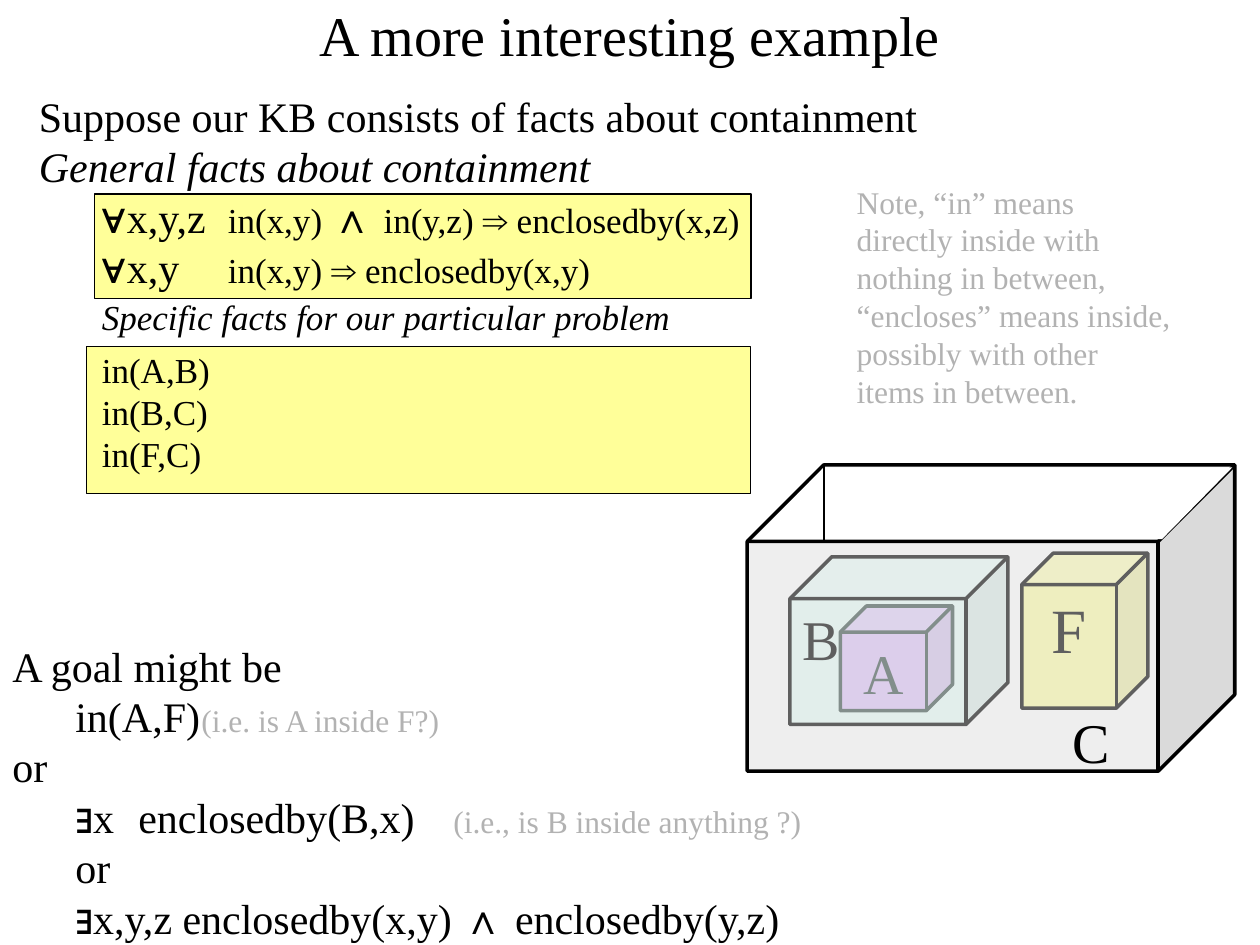
from itertools import groupby

from lxml import etree
from pptx import Presentation
from pptx import util as u
from pptx.dml.color import RGBColor
from pptx.enum import shapes, text
from pptx.oxml.ns import qn

BLACK, GRAY, YELLOW, WHITE = "000000", "B2B2B2", "FFFF99", "FFFFFF"
SYMBOLS = "∀∃∧⇒"
LEFT, CENTER = text.PP_ALIGN.LEFT, text.PP_ALIGN.CENTER
SHAPE = shapes.MSO_SHAPE


def paint(fmt, color, alpha=100):
    """Give a fill or font colour format a hex colour."""
    fmt.solid()
    fmt.fore_color.rgb = RGBColor.from_string(color)
    if alpha < 100:
        clr = fmt._xPr.find(qn("a:solidFill"))[0]
        etree.SubElement(clr, qn("a:alpha")).set("val", str(alpha * 1000))


def add_text(p, words, size=24, color=BLACK, italic=False):
    """Add words to a paragraph, with the logic symbols in Arial."""
    for symbol, chars in groupby(words, lambda c: c in SYMBOLS):
        r = p.add_run()
        r.text = "".join(chars)
        r.font.name = "Arial" if symbol else "Times New Roman"
        r.font.size = u.Pt(size)
        r.font.italic = italic
        paint(r.font.fill, color)


class Board:
    LEADING = 1.2
    INDENT = 36

    def __init__(self, s):
        self.s = s

    def para(self, tf, *runs, size=24, align=LEFT, indent=False, tabs=(),
             before=0, after=0, **fmt):
        """Add a paragraph; a run is a string or a (string, format) pair."""
        first = tf.paragraphs[0]
        p = tf.add_paragraph() if first.runs else first
        p.alignment = align
        p.line_spacing = u.Pt(size * self.LEADING)
        if before:
            p.space_before = u.Pt(before)
        if after:
            p.space_after = u.Pt(after)
        pPr = p._p.get_or_add_pPr()
        if indent:
            pPr.set("marL", str(u.Pt(self.INDENT)))
            pPr.set("indent", "0")
        if tabs:
            tab_list = etree.SubElement(pPr, qn("a:tabLst"))
            for pos in tabs:
                tab = etree.SubElement(tab_list, qn("a:tab"))
                tab.set("pos", str(u.Pt(pos)))
                tab.set("algn", "l")
        for item in runs:
            words, own = (item, {}) if isinstance(item, str) else item
            add_text(p, words, **{"size": size, **fmt, **own})

    def box(self, x, y, w, h, anchor=text.MSO_ANCHOR.TOP):
        sp = self.s.shapes.add_textbox(u.Pt(x), u.Pt(y), u.Pt(w), u.Pt(h))
        tf = sp.text_frame
        tf.word_wrap = True
        tf.vertical_anchor = anchor
        return tf

    def shape(self, kind, x, y, w, h, fill, alpha=100, line=None, adj=None):
        sp = self.s.shapes.add_shape(kind, u.Pt(x), u.Pt(y), u.Pt(w), u.Pt(h))
        sp.shadow.inherit = False
        paint(sp.fill, fill, alpha)
        if line:
            paint(sp.line.fill, BLACK)
            sp.line.width = u.Pt(line)
        else:
            sp.line.fill.background()
        if adj is not None:
            sp.adjustments[0] = adj
        return sp.text_frame

    def cube(self, x, y, w, h, fill, alpha=33, label="", size=32, align=CENTER):
        tf = self.shape(SHAPE.CUBE, x, y, w, h, fill, alpha, line=2, adj=0.25)
        tf.vertical_anchor = text.MSO_ANCHOR.TOP
        tf.word_wrap = True
        if label:
            self.para(tf, label, size=size, align=align)

    def line(self, x1, y1, x2, y2, width=0.75):
        cn = self.s.shapes.add_connector(
            shapes.MSO_CONNECTOR.STRAIGHT, u.Pt(x1), u.Pt(y1), u.Pt(x2), u.Pt(y2))
        paint(cn.line.fill, BLACK)
        cn.line.width = u.Pt(width)
        etree.SubElement(cn._element.spPr, qn("a:effectLst"))


def main():
    prs = Presentation()
    prs.slide_width, prs.slide_height = u.Pt(720), u.Pt(540)
    b = Board(prs.slides.add_slide(prs.slide_layouts[6]))
    small, big, hint = {"size": 20}, {"size": 24}, {"size": 18, "color": GRAY}

    # Inner cubes, seen through the container
    b.cube(480.2, 346.3, 64.1, 59.8, "CC00FF", label="A")
    b.cube(583.9, 316.1, 72, 88.6, "FFFF00", label="F", size=36)

    # Panels behind the facts
    b.shape(SHAPE.RECTANGLE, 54, 110.9, 375.1, 59.8, YELLOW, line=0.75)
    b.shape(SHAPE.RECTANGLE, 49.5, 198, 379.6, 84.2, YELLOW, line=0.75)

    # Title
    tf = b.box(54, 0, 612, 38.9, text.MSO_ANCHOR.MIDDLE)
    b.para(tf, "A more interesting example", size=32, align=CENTER)

    # Knowledge base
    tf = b.box(15.1, 48.2, 522, 250.6)
    b.para(tf, "Suppose our KB consists of facts about containment")
    b.para(tf, "General facts about containment", italic=True)
    b.para(tf, "∀x,y,z\t", ("in(x,y) ", small), ("∧ ", big),
           ("in(y,z) ⇒ enclosedby(x,z)", small), indent=True, tabs=[71])
    b.para(tf, "∀x,y\t", ("in(x,y) ⇒ enclosedby(x,y)", small),
           indent=True, tabs=[74.5])
    b.para(tf, "Specific facts for our particular problem", size=20,
           italic=True, indent=True, before=2, after=2)
    for i, fact in enumerate(["in(A,B)", "in(B,C)", "in(F,C)"]):
        b.para(tf, fact, size=20, indent=True, before=0 if i else 4)

    # Goals
    tf = b.box(0, 362.2, 547.2, 180)
    b.para(tf, "A goal might be")
    b.para(tf, "in(A,F)\t", ("(i.e. is A inside F?)", hint),
           indent=True, tabs=[95])
    b.para(tf, "or")
    b.para(tf, "∃x\tenclosedby(B,x)\t", ("(i.e., is B inside anything ?)", hint),
           indent=True, tabs=[90, 288])
    b.para(tf, "or", indent=True)
    b.para(tf, "∃x,y,z enclosedby(x,y) ∧ enclosedby(y,z)", indent=True)

    # Note
    tf = b.box(482.4, 100.8, 195.1, 136.8)
    b.para(tf, "Note, “in” means directly inside with nothing in between, "
           "“encloses” means inside, possibly with other items in between.", **hint)

    # Container C with its open top
    b.cube(451.4, 318.2, 124.6, 95.8, "C2FFF0", label="B", align=LEFT)
    b.cube(427, 265.7, 278.6, 175, "D9D9D9", alpha=44)
    b.shape(SHAPE.PARALLELOGRAM, 430.6, 267.1, 273.6, 41, WHITE, adj=0.98)
    b.para(b.box(605.5, 401, 49.7, 46.1), "C", size=32)
    b.line(470.9, 266.4, 470.9, 308.9)

    prs.save("out.pptx")


if __name__ == "__main__":
    main()
